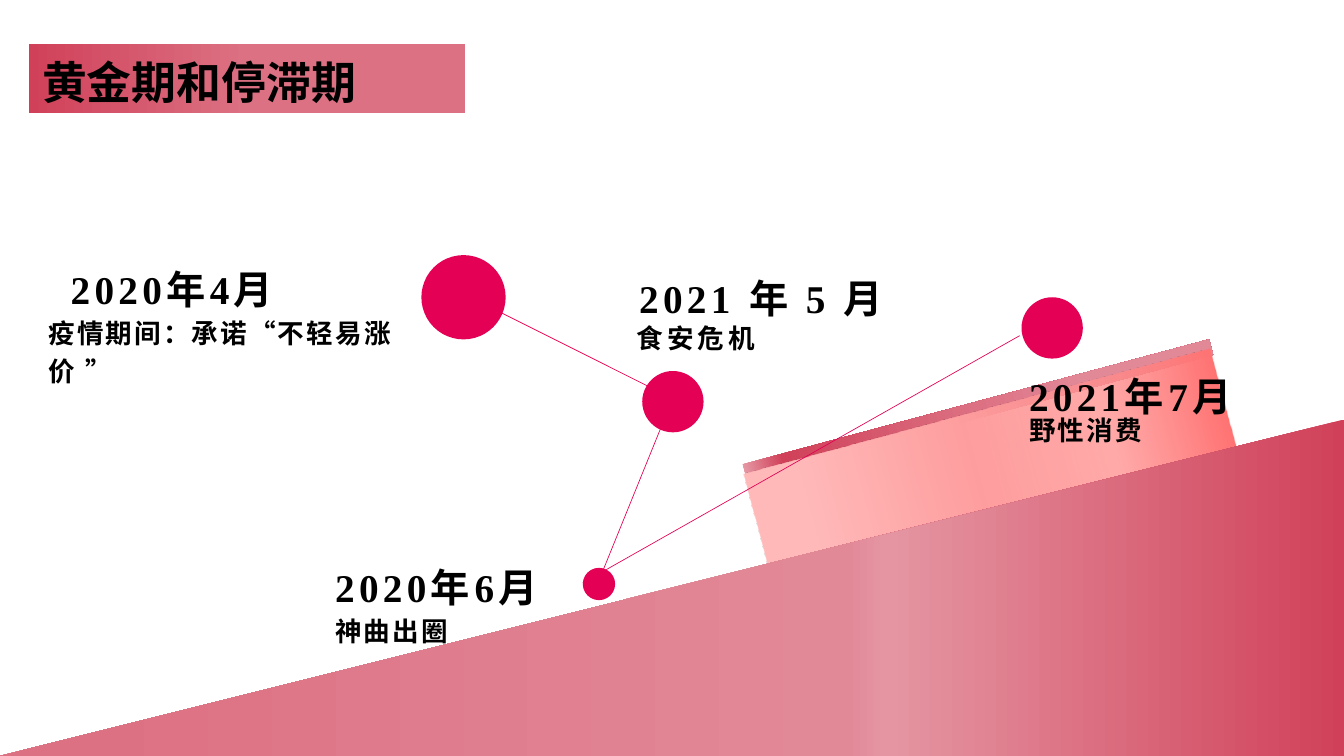
import pptx
import pptx.util
import pptx.dml.color
import pptx.enum.shapes
import pptx.enum.text
import pptx.oxml.ns
from lxml import etree

Cm, Pt = pptx.util.Cm, pptx.util.Pt
SHAPE = pptx.enum.shapes.MSO_SHAPE
qn = pptx.oxml.ns.qn

COLORS = {
    "text": "000000", "accent": "E40055",
    "pale": "E8A0AC", "crimson": "D04159", "rose": "DC7183",
    "blush": "E28998", "light": "E595A2",
    "pink1": "FFB9B9", "pink2": "FE9E9F", "pink3": "FF8F8E", "pink4": "FF7373",
}
FONT = "Times New Roman"
TILT = 15
SLIDE_W, SLIDE_H = 35.72, 20.09


def rgb(name):
    return pptx.dml.color.RGBColor.from_string(COLORS[name])


def set_gradient(sp, stops, angle=0):
    """Fill with stops given as (percent, colour) or (percent, colour, opacity)."""
    sp.shadow.inherit = False
    sp.line.fill.background()
    sp.fill.gradient()
    sp.fill.gradient_angle = angle
    stop_list = sp._element.spPr.find(".//" + qn("a:gsLst"))
    for old in list(stop_list):
        stop_list.remove(old)
    for pos, name, *opacity in stops:
        gs = etree.SubElement(stop_list, qn("a:gs"), pos=str(pos * 1000))
        clr = etree.SubElement(gs, qn("a:srgbClr"), val=COLORS[name])
        if opacity:
            etree.SubElement(clr, qn("a:alpha"), val=str(opacity[0] * 1000))


def add_shape(s, kind, x, y, w, h):
    return s.shapes.add_shape(kind, Cm(x), Cm(y), Cm(w), Cm(h))


def write(tf, text, size, line_spacing=1.0, spacing=0):
    tf.word_wrap = True
    p = tf.paragraphs[0]
    p.text = text
    p.alignment = pptx.enum.text.PP_ALIGN.LEFT
    p.line_spacing = line_spacing
    p.font.name = FONT
    p.font.size = Pt(size)
    p.font.bold = True
    p.font.color.rgb = rgb("text")
    if spacing:
        p.font._element.set("spc", str(int(spacing * 100)))


def add_text(s, x, y, w, h, *args):
    tf = s.shapes.add_textbox(Cm(x), Cm(y), Cm(w), Cm(h)).text_frame
    write(tf, *args)
    tf.auto_size = pptx.enum.text.MSO_AUTO_SIZE.SHAPE_TO_FIT_TEXT


def add_backdrop(s, x, y, w, h):
    # Tilted strip
    strip = add_shape(s, SHAPE.RECTANGLE, x + 19.58, y + 10.67, 12.83, 0.43)
    strip.rotation = 360 - TILT
    set_gradient(strip, [(0, "pale"), (9, "crimson"), (50, "rose"), (73, "blush")])

    # Tilted block, cut off at the bottom edge
    corners = [(32.16, 9.27), (35.05, h), (21.77, h), (19.76, 12.6)]
    points = [(Cm(x + px), Cm(y + py)) for px, py in corners]
    fb = s.shapes.build_freeform(*points[0])
    fb.add_line_segments(points[1:], close=True)
    set_gradient(fb.convert_to_shape(),
                 [(19, "pink1"), (44, "pink2"), (66, "pink3", 75), (84, "pink4")], TILT)

    # Slope
    slope_h = 8.94
    slope = add_shape(s, SHAPE.RIGHT_TRIANGLE, x, y + h - slope_h, w, slope_h)
    slope._element.spPr.find(qn("a:xfrm")).set("flipH", "1")
    set_gradient(slope, [(0, "pale"), (0, "crimson"), (34, "light"),
                         (37, "blush"), (94, "rose")])


def add_title(s, x, y, w, h, text):
    sp = add_shape(s, SHAPE.RECTANGLE, x, y, w, h)
    set_gradient(sp, [(0, "pale"), (0, "crimson"), (50, "rose")])
    tf = sp.text_frame
    tf.margin_left = tf.margin_right = Cm(0.36)
    tf.margin_top = tf.margin_bottom = Cm(0.18)
    tf.vertical_anchor = pptx.enum.text.MSO_ANCHOR.MIDDLE
    write(tf, text, 33.8, 1.1)


def add_link(s, x1, y1, x2, y2):
    line = s.shapes.add_connector(pptx.enum.shapes.MSO_CONNECTOR.STRAIGHT,
                                  Cm(x1), Cm(y1), Cm(x2), Cm(y2))
    line.line.color.rgb = rgb("accent")
    line.line.width = Pt(0.5)
    etree.SubElement(line._element.spPr, qn("a:effectLst"))


def add_event(s, x, y, w, h, date, date_ls, note, note_box, note_spc, dot):
    """Date in the box; note (dx, dy, width) and dot (dx, dy, diameter) beside it."""
    add_text(s, x, y, w, h, date, 29.6, date_ls, 3.2)
    dx, dy, note_w = note_box
    add_text(s, x + dx, y + dy, note_w, 1.27, note, 20, 1.2, note_spc)
    dx, dy, d = dot
    sp = add_shape(s, SHAPE.OVAL, x + dx, y + dy, d, d)
    sp.shadow.inherit = False
    sp.fill.solid()
    sp.fill.fore_color.rgb = rgb("accent")
    sp.line.fill.background()


LINKS = [
    (12.24, 7.77, 17.88, 10.59),
    (15.9, 15.47, 17.88, 10.59),
    (15.49, 15.49, 27.1, 8.92),
]
EVENTS = [
    (1.63, 6.93, 9.12, 2.77, "2020年4月", 1.0,
     "疫情期间：承诺“不轻易涨价 ”", (-0.59, 1.2, 10.87), 1.6, (9.57, -0.15, 2.24)),
    (8.66, 14.83, 8.64, 1.52, "2020年6月", 1.0,
     "神曲出圈", (0, 1.22, 10.24), 1.6, (6.83, 0.26, 0.86)),
    (27.1, 9.53, 8.64, 1.63, "2021年7月", 1.2,
     "野性消费", (0, 1.19, 10.24), 1.6, (0.05, -1.63, 1.63)),
    (16.74, 6.91, 7.95, 1.63, "2021 年 5 月", 1.2,
     "食安危机", (-0.08, 1.35, 10.24), 3.2, (0.33, 2.95, 1.63)),
]


def main():
    prs = pptx.Presentation()
    prs.slide_width, prs.slide_height = Cm(SLIDE_W), Cm(SLIDE_H)
    s = prs.slides.add_slide(prs.slide_layouts[6])
    add_backdrop(s, 0, 0, SLIDE_W, SLIDE_H)
    for link in LINKS:
        add_link(s, *link)
    for event in EVENTS:
        add_event(s, *event)
    add_title(s, 0.76, 1.17, 11.61, 1.83, "黄金期和停滞期")
    prs.save("out.pptx")


if __name__ == "__main__":
    main()
